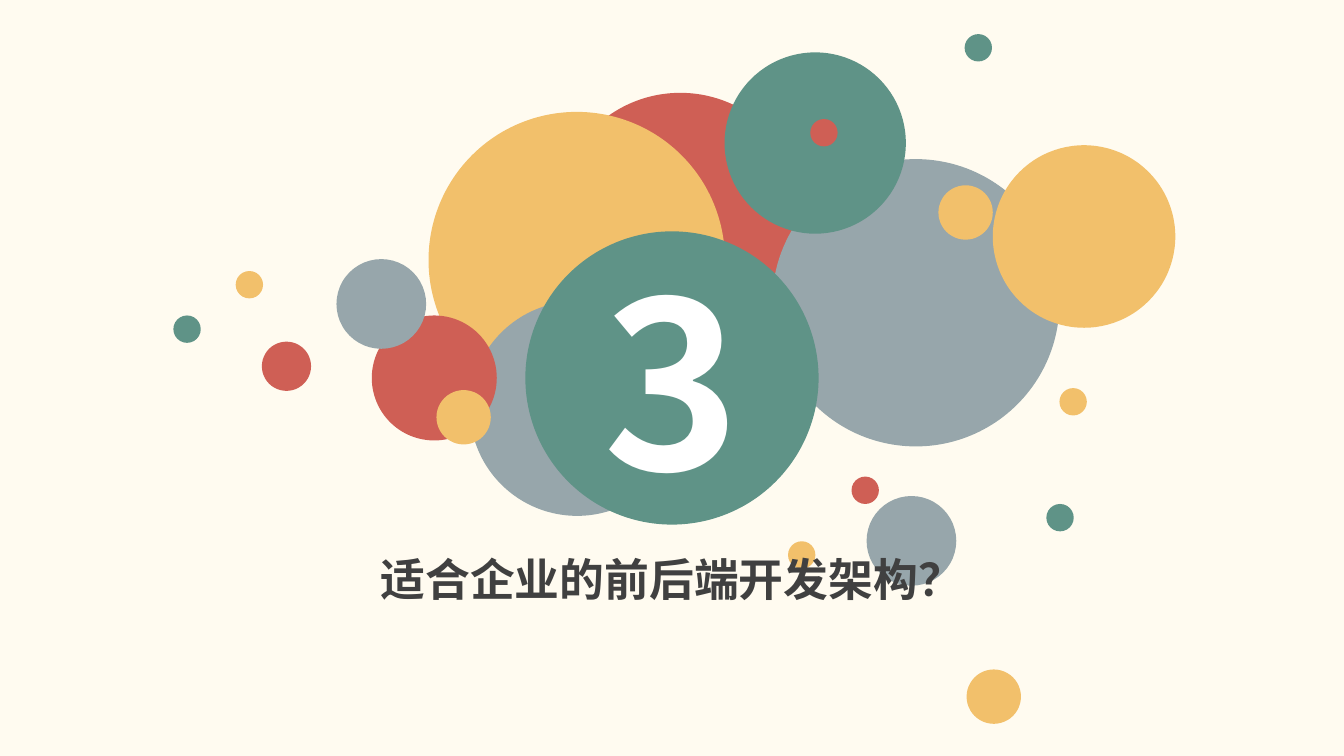
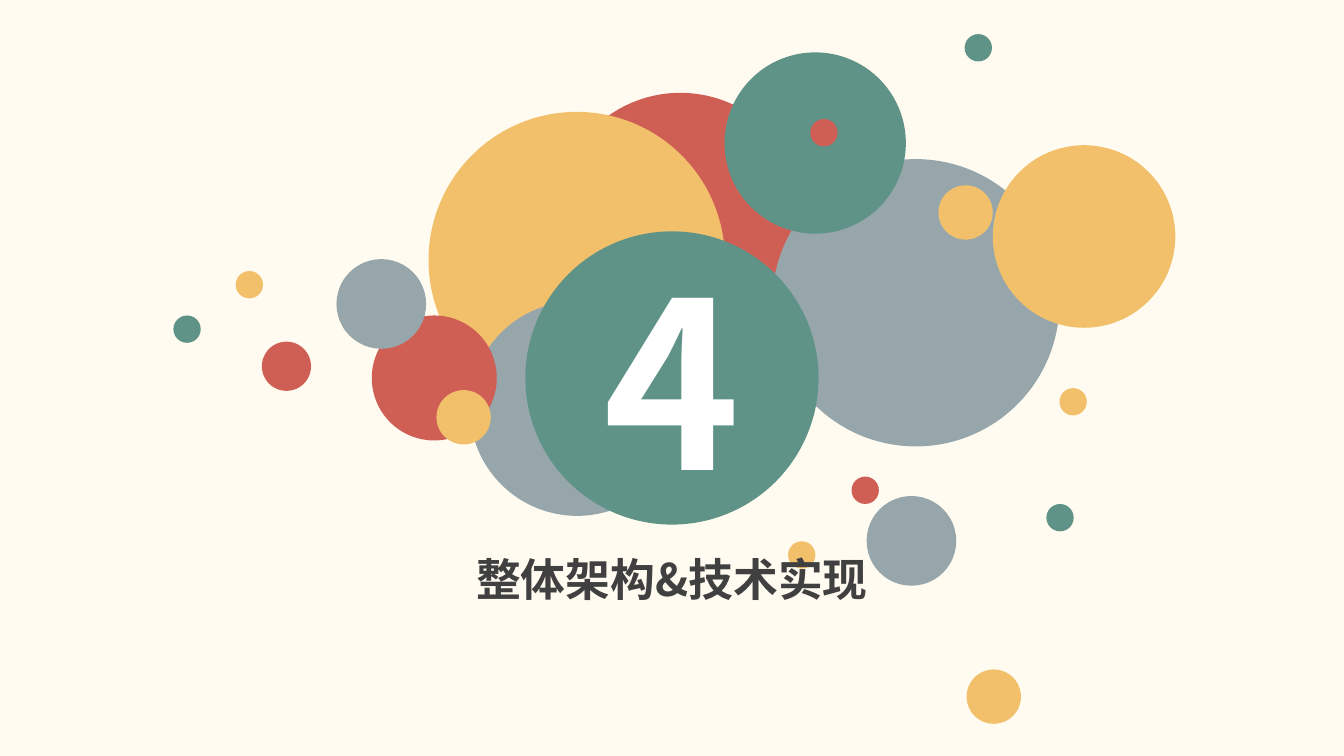
from lxml.etree import SubElement
from pptx import Presentation
from pptx.dml.color import RGBColor
from pptx.enum.shapes import MSO_SHAPE
from pptx.enum.text import MSO_ANCHOR, MSO_AUTO_SIZE, PP_ALIGN
from pptx.oxml.ns import qn
from pptx.util import Cm, Pt

SECTIONS = [
    ("3", "适合企业的前后端开发架构？"),
    ("4", "整体架构&技术实现"),
]

COLORS = {
    "cream": "FFFBF0",
    "red": "CF5F55",
    "yellow": "F2C06B",
    "gray": "97A6AB",
    "green": "5F9387",
    "white": "FFFFFF",
    "text": "404040",
}
FONT = "Noto Sans CJK SC"

SLIDE_WIDTH, SLIDE_HEIGHT = 33.87, 19.05
BADGE = 7.39
TITLE_TOP, TITLE_WIDTH, TITLE_HEIGHT = 13.77, 15.32, 1.63
DOT, BEAD, BALL = 0.69, 1.37, 2.26

BUBBLES = [
    ("red", 14.02, 2.34, 6.25),
    ("yellow", 10.8, 2.82, 7.47),
    ("gray", 11.84, 7.59, 5.41),
    ("gray", 19.46, 4.01, 7.24),
    ("green", 18.26, 1.32, 4.57),
    ("red", 9.37, 7.95, 3.15),
    ("gray", 21.84, 12.5, BALL),
    ("red", 21.46, 12.01, DOT),
    ("yellow", 19.86, 13.64, DOT),
    ("green", 26.37, 12.7, DOT),
    ("yellow", 24.36, 16.87, BEAD),
    ("yellow", 25.02, 3.66, 4.6),
    ("gray", 8.48, 6.53, BALL),
    ("red", 6.6, 8.61, 1.24),
    ("yellow", 5.94, 6.83, DOT),
    ("green", 4.37, 7.95, DOT),
    ("yellow", 11, 9.83, BEAD),
    ("red", 20.42, 3, DOT),
    ("yellow", 26.7, 9.78, DOT),
    ("green", 24.31, 0.86, DOT),
    ("yellow", 23.65, 4.67, BEAD),
]


def rgb(color):
    return RGBColor.from_string(COLORS[color])


def write(shape, text, size, color, anchor):
    frame = shape.text_frame
    frame.text = text
    frame.word_wrap = True
    frame.vertical_anchor = anchor
    paragraph = frame.paragraphs[0]
    paragraph.alignment = PP_ALIGN.CENTER
    font = paragraph.font
    font.name, font.size, font.bold = FONT, Pt(size), True
    font.color.rgb = rgb(color)
    properties = paragraph._p.pPr.find(qn("a:defRPr"))
    SubElement(properties, qn("a:ea")).set("typeface", FONT)


def add_circle(slide, color, left, top, diameter):
    circle = slide.shapes.add_shape(
        MSO_SHAPE.OVAL, Cm(left), Cm(top), Cm(diameter), Cm(diameter))
    circle.shadow.inherit = False
    circle.fill.solid()
    circle.fill.fore_color.rgb = rgb(color)
    circle.line.fill.background()
    return circle


def place_title(slide, text):
    title = slide.shapes.title
    title.left, title.top = Cm((SLIDE_WIDTH - TITLE_WIDTH) / 2), Cm(TITLE_TOP)
    title.width, title.height = Cm(TITLE_WIDTH), Cm(TITLE_HEIGHT)
    write(title, text, 32, "text", MSO_ANCHOR.TOP)
    title.text_frame.auto_size = MSO_AUTO_SIZE.SHAPE_TO_FIT_TEXT
    slide.shapes._spTree.append(title._element)


def add_section(presentation, number, text):
    slide = presentation.slides.add_slide(presentation.slide_layouts[5])
    slide.background.fill.solid()
    slide.background.fill.fore_color.rgb = rgb("cream")
    for bubble in BUBBLES:
        add_circle(slide, *bubble)
    badge = add_circle(slide, "green", (SLIDE_WIDTH - BADGE) / 2,
                       (SLIDE_HEIGHT - BADGE) / 2, BADGE)
    write(badge, number, 166, "white", MSO_ANCHOR.MIDDLE)
    place_title(slide, text)


def main():
    presentation = Presentation()
    presentation.slide_width = Cm(SLIDE_WIDTH)
    presentation.slide_height = Cm(SLIDE_HEIGHT)
    for number, text in SECTIONS:
        add_section(presentation, number, text)
    presentation.save("out.pptx")


if __name__ == "__main__":
    main()
